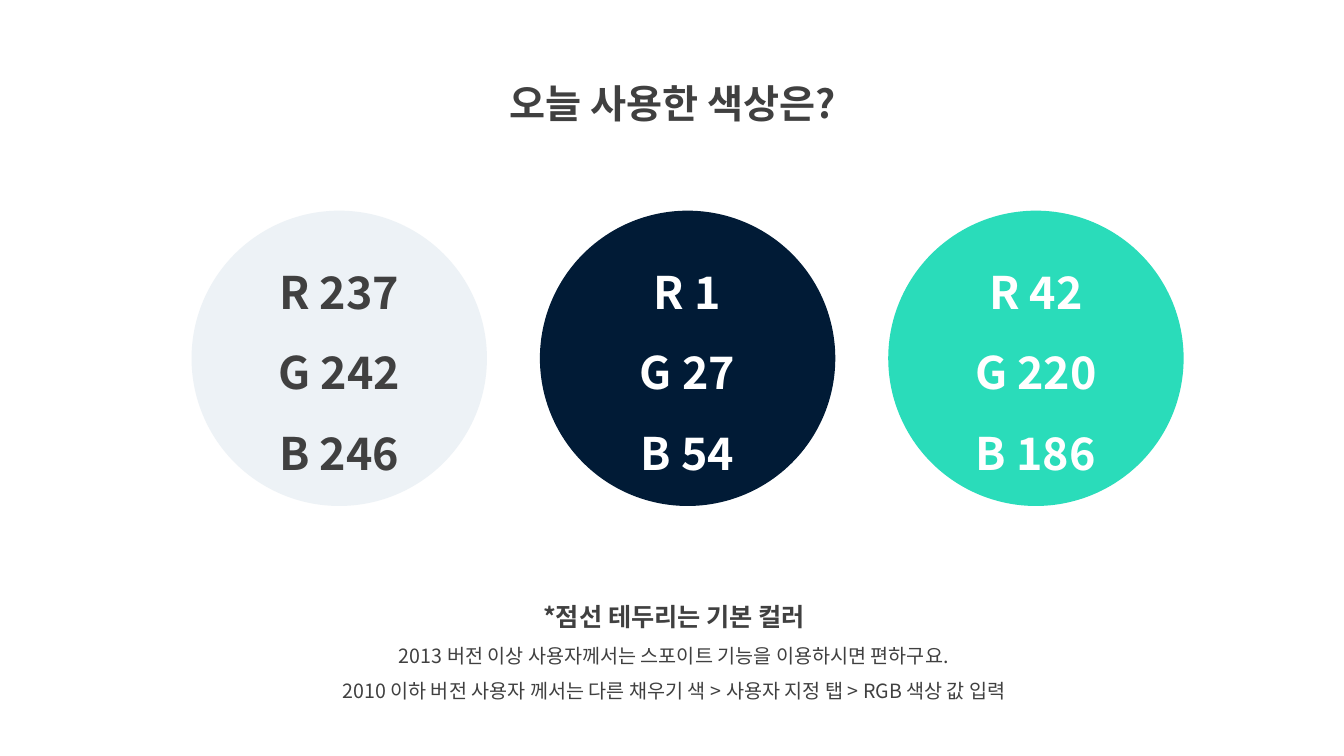
"""Build the slide that lists the colours used today."""
from lxml import etree
from pptx import Presentation
from pptx import util as u
from pptx.dml.color import RGBColor
from pptx.enum import shapes, text
from pptx.oxml.ns import qn

FONT = "Noto Sans CJK KR"
COLORS = {"ink": "404040", "white": "FFFFFF", "pale": "EDF2F6",
          "navy": "011B36", "mint": "2ADCBA"}
TITLE = [("오늘 사용한 색상은?", 28, True)]
NOTES = [
    ("*점선 테두리는 기본 컬러", 18, True),
    ("2013 버전 이상 사용자께서는 스포이트 기능을 이용하시면 편하구요.", 14, False),
    ("2010 이하 버전 사용자 께서는 다른 채우기 색 > 사용자 지정 탭 > RGB 색상 값 입력",
     14, False),
]
SWATCHES = [
    ("pale", "ink", (237, 242, 246)),
    ("navy", "white", (1, 27, 54)),
    ("mint", "white", (42, 220, 186)),
]
LEFT, TOP, SIZE, STEP = 1.9, 2.09, 2.93, 3.455


def write(frame, lines, color):
    frame.word_wrap = True
    frame.text = "\n".join(line for line, _, _ in lines)
    for para, (_, size, bold) in zip(frame.paragraphs, lines):
        para.alignment = text.PP_ALIGN.CENTER
        para.line_spacing = 1.5
        for run in para.runs:
            font = run.font
            font.size, font.bold = u.Pt(size), bold
            font.color.rgb = RGBColor.from_string(COLORS[color])
            font.name = FONT
            east = etree.SubElement(run._r.get_or_add_rPr(), qn("a:ea"))
            east.set("typeface", FONT)


def add_text(slide, box, lines):
    label = slide.shapes.add_textbox(*map(u.Inches, box))
    write(label.text_frame, lines, "ink")
    label.text_frame.auto_size = text.MSO_AUTO_SIZE.SHAPE_TO_FIT_TEXT


def add_swatch(slide, index, fill, ink, values):
    box = (LEFT + index * STEP, TOP, SIZE, SIZE)
    disc = slide.shapes.add_shape(shapes.MSO_SHAPE.OVAL, *map(u.Inches, box))
    disc.shadow.inherit = False
    disc.fill.solid()
    disc.fill.fore_color.rgb = RGBColor.from_string(COLORS[fill])
    disc.line.fill.background()
    lines = [(f"{name} {value}", 32, True) for name, value in zip("RGB", values)]
    write(disc.text_frame, lines, ink)
    disc.text_frame.vertical_anchor = text.MSO_ANCHOR.MIDDLE


def main():
    deck = Presentation()
    deck.slide_width, deck.slide_height = u.Inches(13.33), u.Inches(7.5)
    slide = deck.slides.add_slide(deck.slide_layouts[6])
    add_text(slide, (4.36, 0.5, 4.63, 0.72), TITLE)
    add_text(slide, (2.69, 5.77, 7.99, 1.26), NOTES)
    for index, swatch in enumerate(SWATCHES):
        add_swatch(slide, index, *swatch)
    deck.save("out.pptx")


if __name__ == "__main__":
    main()
